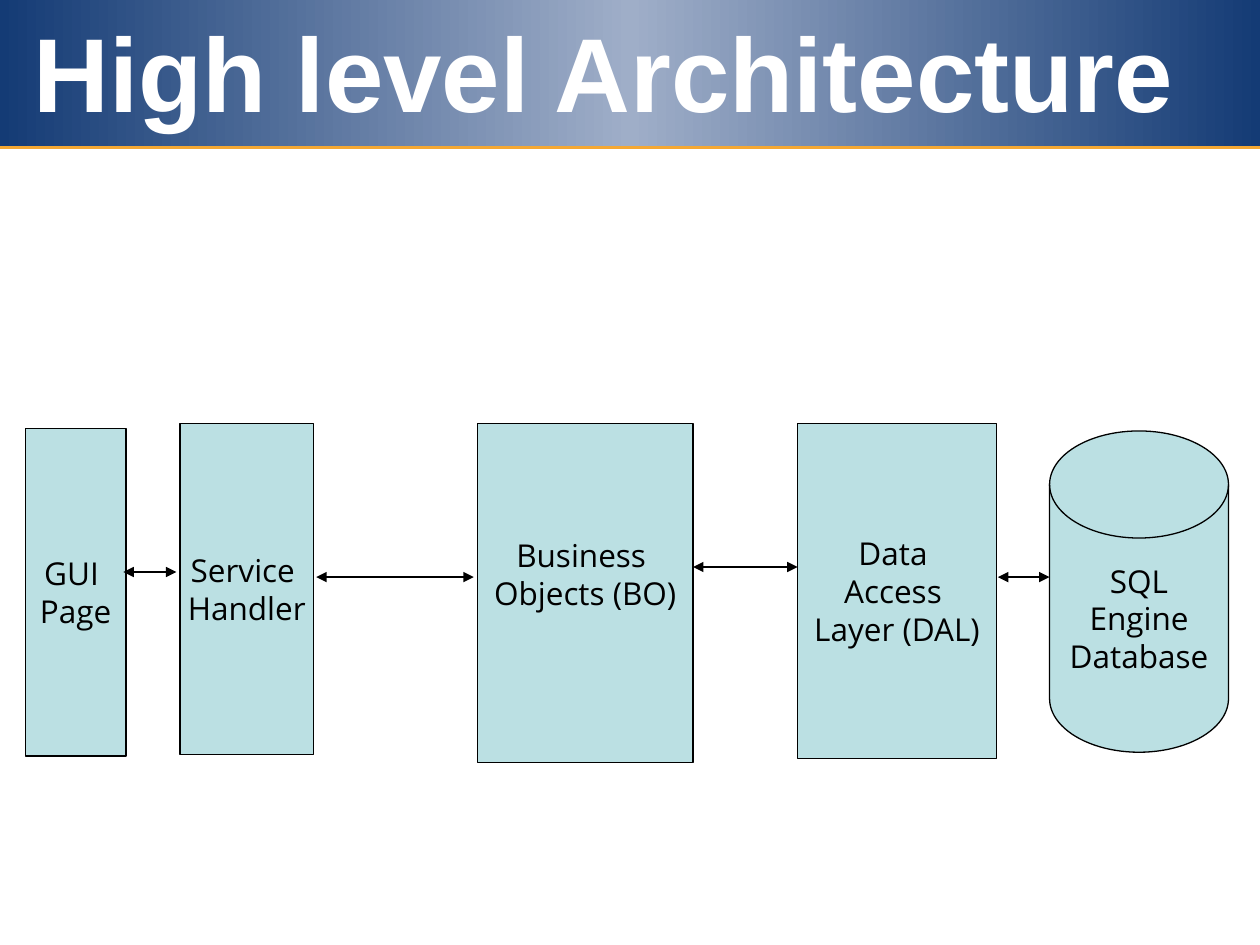
from copy import deepcopy
from lxml import etree
from pptx import Presentation
from pptx.dml.color import RGBColor
from pptx.enum import shapes, text
from pptx.oxml import ns
from pptx.util import Inches, Pt

HUES = {"navy": "143B75", "mist": "9FAEC8", "gold": "F5A833",
        "aqua": "BBE0E3", "ink": "000000", "white": "FFFFFF"}
RECT = shapes.MSO_SHAPE.RECTANGLE
DISK = shapes.MSO_SHAPE.FLOWCHART_MAGNETIC_DISK


def hue(name):
    return RGBColor.from_string(HUES[name])


def write(frame, lines, font, size, color, bold=False, align=None):
    for i, line in enumerate(lines):
        para = frame.paragraphs[0] if i == 0 else frame.add_paragraph()
        para.alignment = align
        run = para.add_run()
        run.text = line
        run.font.name = font
        run.font.size = Pt(size)
        run.font.bold = bold
        run.font.color.rgb = hue(color)


def rule(slide, start, end, color, width, heads=False):
    line = slide.shapes.add_connector(
        shapes.MSO_CONNECTOR.STRAIGHT, *map(Inches, start + end))
    line.line.color.rgb = hue(color)
    line.line.width = Pt(width)
    if heads:
        stroke = line.line._get_or_add_ln()
        for tag in ("a:headEnd", "a:tailEnd"):
            etree.SubElement(stroke, ns.qn(tag), type="triangle")
    etree.SubElement(line._element.spPr, ns.qn("a:effectLst"))


def banner(slide, left, top, width, height):
    band = slide.shapes.add_shape(RECT, *map(Inches, (left, top, width, height)))
    band.shadow.inherit = False
    band.line.fill.background()
    band.fill.gradient()
    band.fill.gradient_angle = 0
    first = band.fill.gradient_stops[0]._gs
    first.addnext(deepcopy(first))
    for stop, place, color in zip(band.fill.gradient_stops, (0, 0.5, 1),
                                  ("navy", "mist", "navy")):
        stop.color.rgb = hue(color)
        stop.position = place
    rule(slide, (left, top + height), (left + width, top + height), "gold", 1.5)
    title = slide.shapes.add_textbox(
        *map(Inches, (left + 0.17, top + 0.01, 9.65, 0.87)))
    frame = title.text_frame
    frame.word_wrap = True
    frame.vertical_anchor = text.MSO_ANCHOR.TOP
    frame.margin_left = Inches(0.1)
    frame.margin_top = Inches(0.05)
    frame.margin_bottom = 0
    write(frame, ["High level Architecture"], "Arial", 60, "white", True)


def block(slide, kind, box, lines, lift=0):
    node = slide.shapes.add_shape(kind, *map(Inches, box))
    node.shadow.inherit = False
    node.fill.solid()
    node.fill.fore_color.rgb = hue("aqua")
    node.line.color.rgb = hue("ink")
    node.line.width = Pt(0.75)
    frame = node.text_frame
    frame.word_wrap = False
    frame.vertical_anchor = text.MSO_ANCHOR.MIDDLE
    frame.margin_bottom = Inches(0.05 + lift)
    write(frame, lines, "Open Sans", 18, "ink", align=text.PP_ALIGN.CENTER)


def flow(slide, left, top):
    nodes = [
        (RECT, 0, 0.04, 0.8, 2.6, ["GUI ", "Page"], 0),
        (RECT, 1.23, 0, 1.06, 2.63, ["Service ", "Handler"], 0),
        (RECT, 3.59, 0, 1.71, 2.69, ["Business ", "Objects (BO)"], 0.3),
        (RECT, 6.13, 0, 1.58, 2.66, ["Data ", "Access ", "Layer (DAL)"], 0),
        (DISK, 8.13, 0.06, 1.42, 2.55, ["SQL", "Engine", "Database"], 0),
    ]
    for kind, x, y, width, height, lines, lift in nodes:
        block(slide, kind, (left + x, top + y, width, height), lines, lift)
    links = [(0.78, 1.2, 1.18), (2.31, 3.56, 1.22),
             (5.3, 6.13, 1.14), (7.72, 8.13, 1.22)]
    for start, end, y in links:
        rule(slide, (left + start, top + y), (left + end, top + y),
             "ink", 0.75, True)


deck = Presentation()
deck.slide_width, deck.slide_height = Inches(10), Inches(7.5)
page = deck.slides.add_slide(deck.slide_layouts[6])
page.background.fill.solid()
page.background.fill.fore_color.rgb = hue("white")
banner(page, 0, 0, 10, 1.17)
flow(page, 0.2, 3.36)
deck.save("out.pptx")
